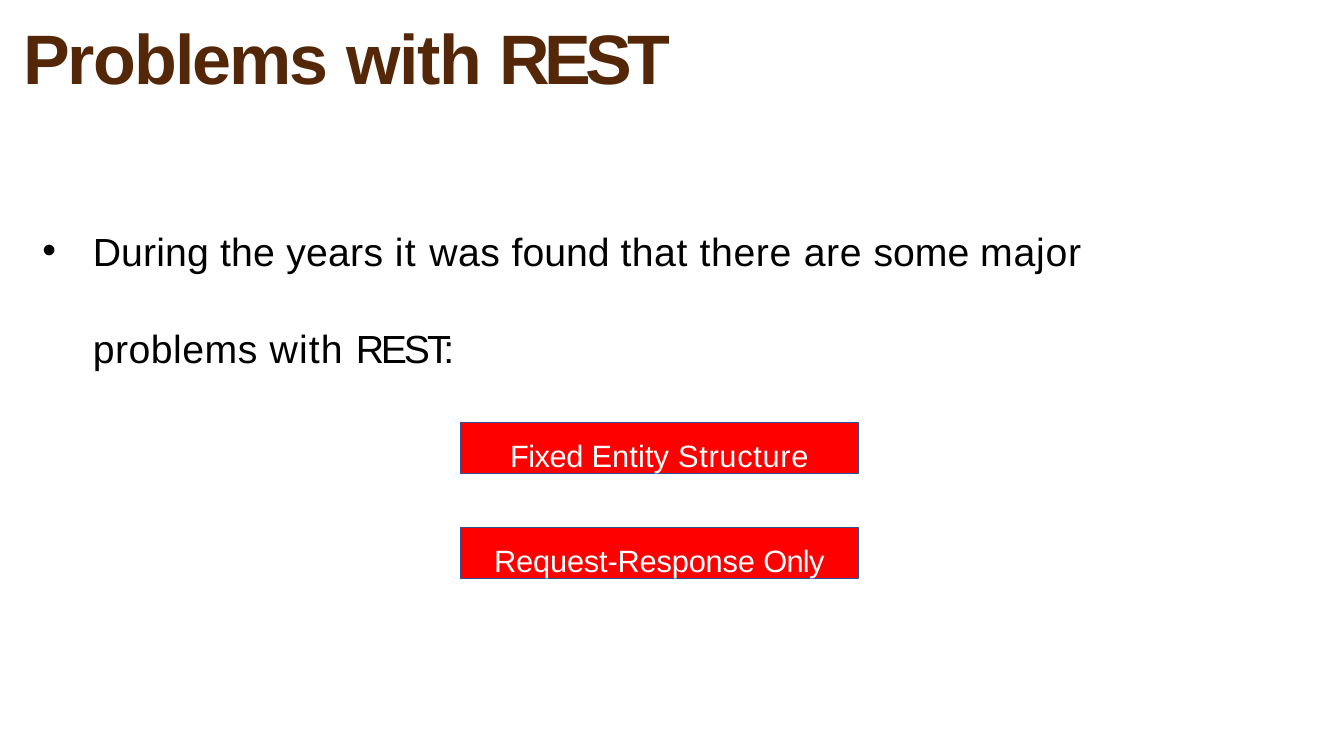
from lxml import etree
from pptx import Presentation
from pptx.dml.color import RGBColor
from pptx.enum.shapes import MSO_SHAPE
from pptx.enum.text import MSO_ANCHOR, PP_ALIGN
from pptx.oxml.ns import qn
from pptx.util import Inches, Pt

BROWN = RGBColor(0x53, 0x27, 0x08)
BLACK = RGBColor(0x00, 0x00, 0x00)
WHITE = RGBColor(0xFF, 0xFF, 0xFF)
RED = RGBColor(0xFF, 0x00, 0x00)
BLUE = RGBColor(0x2E, 0x52, 0x8F)

RECTANGLE = MSO_SHAPE.RECTANGLE
TOP = MSO_ANCHOR.TOP
LEFT, CENTER = PP_ALIGN.LEFT, PP_ALIGN.CENTER
FONT = "Arial"
BLANK_LAYOUT = 6


def write(para, pieces, size, color, bold=False, align=LEFT):
    """Fill a paragraph with (text, letter spacing in points) pieces."""
    para.alignment = align
    for text, spacing in pieces:
        span = para.add_run()
        span.text = text
        font = span.font
        font.name, font.size, font.bold = FONT, Pt(size), bold
        font.color.rgb = color
        span._r.get_or_add_rPr().set("spc", str(round(spacing * 100)))


def hang(para, indent, first_line, bullet=None):
    """Indent a paragraph, in inches, with an optional bullet."""
    properties = para._p.get_or_add_pPr()
    properties.set("marL", str(Inches(indent)))
    properties.set("indent", str(Inches(first_line)))
    if bullet:
        mark_font = etree.SubElement(properties, qn("a:buFont"))
        mark_font.set("typeface", FONT)
        mark = etree.SubElement(properties, qn("a:buChar"))
        mark.set("char", bullet)


class Page:
    """A slide whose lengths are percentages of its width and height."""

    def __init__(self, deck):
        self.column = deck.slide_width / 100
        self.row = deck.slide_height / 100
        self.shapes = deck.slides.add_slide(deck.slide_layouts[BLANK_LAYOUT]).shapes

    def area(self, left, top, width, height):
        return (round(left * self.column), round(top * self.row),
                round(width * self.column), round(height * self.row))

    def frame(self, shape, inset):
        frame = shape.text_frame
        frame.word_wrap = True
        frame.vertical_anchor = TOP
        frame.margin_left = frame.margin_right = frame.margin_bottom = 0
        frame.margin_top = Inches(inset)
        return frame

    def text(self, *place, inset=0.03):
        return self.frame(self.shapes.add_textbox(*self.area(*place)), inset)

    def button(self, *place, pieces):
        box = self.shapes.add_shape(RECTANGLE, *self.area(*place))
        box.shadow.inherit = False
        box.fill.solid()
        box.fill.fore_color.rgb = RED
        box.line.color.rgb = BLUE
        box.line.width = Pt(1)
        para = self.frame(box, 0.14).paragraphs[0]
        write(para, pieces, 22, WHITE, align=CENTER)


def main():
    deck = Presentation()
    deck.slide_width, deck.slide_height = Inches(13.33), Inches(7.5)
    page = Page(deck)

    # Title
    title = page.text(1.73, 1.47, 63.24, 22.4)
    write(title.paragraphs[0],
          [("Problems ", -1.4), ("with ", -1.1), ("REST", -4)],
          50, BROWN, bold=True)

    # Bulleted statement, broken over two spaced lines
    body = page.text(3.08, 29.6, 94.45, 19.07)
    first = body.paragraphs[0]
    hang(first, 0.51, -0.5, bullet="•")
    write(first,
          [("During ", 0.1), ("the years ", 0.2), ("it ", 1), ("was ", 0.3),
           ("found ", 0), ("that ", 0.4), ("there ", 0.5), ("are ", 0.4),
           ("some ", 0), ("major", 0.6)], 28, BLACK)
    second = body.add_paragraph()
    hang(second, 0.51, 0)
    second.space_before = Pt(36)
    write(second, [("problems ", 0.4), ("with ", 0.8), ("REST:", -2.2)], 28, BLACK)

    # Problem buttons, stacked at equal steps
    problems = [
        [("Fixed ", -0.3), ("Entity ", 0.1), ("Structure", 0.5)],
        [("Request-Response ", -0.1), ("Only", -0.5)],
    ]
    for index, pieces in enumerate(problems):
        page.button(34.28, 55.87 + index * 13.87, 29.56, 6.8, pieces=pieces)

    deck.save("out.pptx")


if __name__ == "__main__":
    main()
